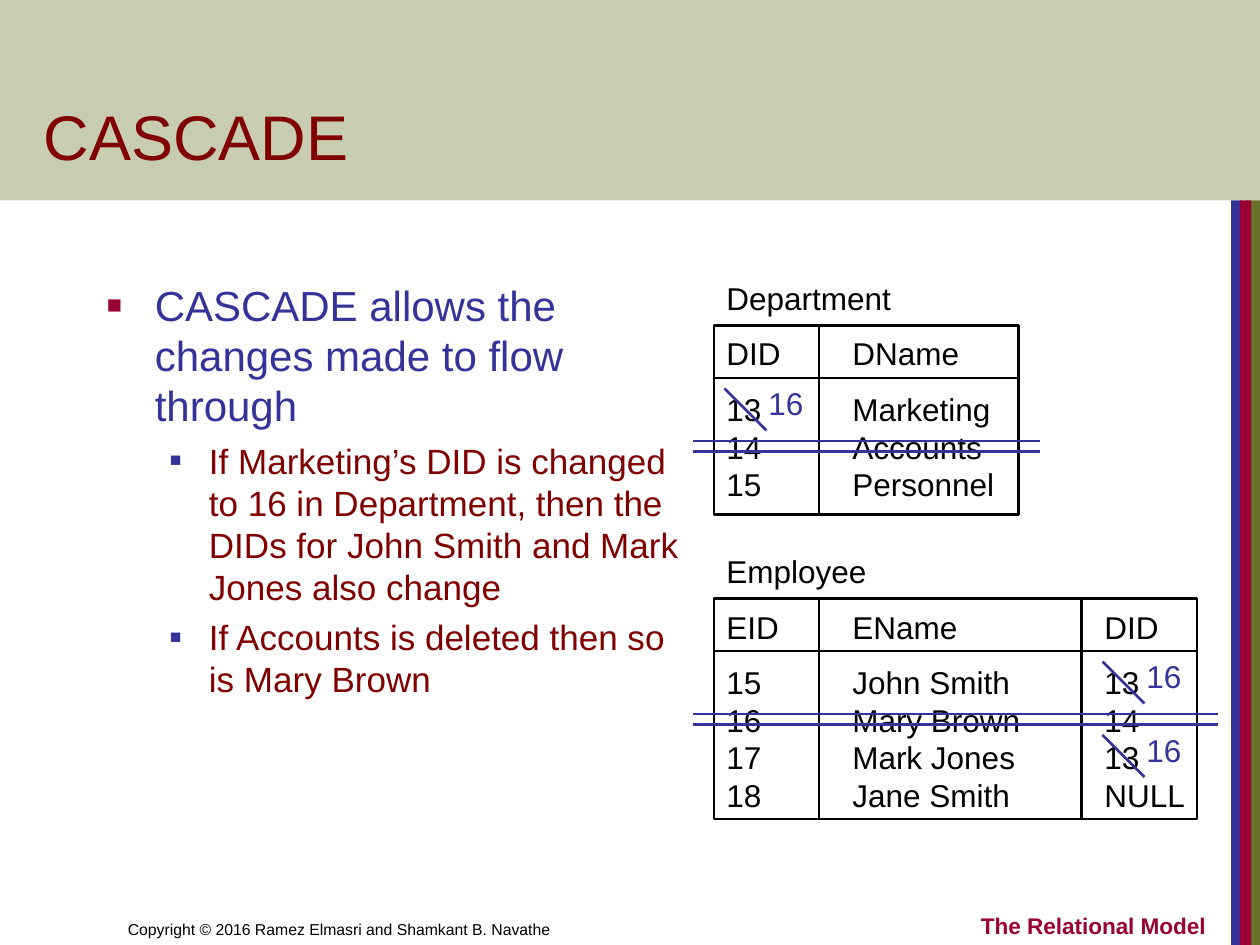
from lxml.etree import SubElement
from pptx import Presentation
from pptx.dml.color import RGBColor
from pptx.enum.shapes import MSO_CONNECTOR, MSO_SHAPE
from pptx.enum.text import MSO_ANCHOR, MSO_AUTO_SIZE, PP_ALIGN
from pptx.oxml.ns import qn
from pptx.util import Inches, Pt

BLACK = RGBColor(0x00, 0x00, 0x00)
NAVY = RGBColor(0x33, 0x33, 0x99)
CRIMSON = RGBColor(0x99, 0x00, 0x33)
MAROON = RGBColor(0x80, 0x00, 0x00)
OLIVE = RGBColor(0x67, 0x72, 0x28)

COLUMNS, ROWS = 120, 90
BAND_ROWS = 19.08


def assign(target, values):
    for name, value in values.items():
        setattr(target, name, value)


class RelationSlide:
    font_name = "Arial"
    rule_width = Pt(1.5)
    table_size = 18
    header_gap = Pt(10)

    def __init__(self, deck):
        self.column = deck.slide_width / COLUMNS
        self.row = deck.slide_height / ROWS
        self.slide = deck.slides.add_slide(deck.slide_layouts[6])
        self.shapes = self.slide.shapes

    def area(self, left, top, width, height):
        return (round(left * self.column), round(top * self.row),
                round(width * self.column), round(height * self.row))

    def block(self, area, fill=None, opacity=None):
        block = self.shapes.add_shape(MSO_SHAPE.RECTANGLE, *self.area(*area))
        block.shadow.inherit = False
        if fill is None:
            block.fill.background()
            block.line.color.rgb = BLACK
            block.line.width = self.rule_width
            return
        block.fill.solid()
        block.fill.fore_color.rgb = fill
        block.line.fill.background()
        if opacity:
            color = block._element.spPr.find(".//" + qn("a:srgbClr"))
            SubElement(color, qn("a:alpha"), val=str(opacity * 1000))

    def rule(self, start, end, color=BLACK):
        rule = self.shapes.add_connector(
            MSO_CONNECTOR.STRAIGHT, *self.area(*start, *end))
        rule.line.color.rgb = color
        rule.line.width = self.rule_width
        SubElement(rule._element.spPr, qn("a:effectLst"))

    def frame(self, area, **values):
        frame = self.shapes.add_textbox(*self.area(*area)).text_frame
        assign(frame, {"word_wrap": True, **values})
        return frame

    def paragraph(self, frame, text, size, color, bold=False, **values):
        paragraph = frame.paragraphs[0]
        if paragraph.runs:
            paragraph = frame.add_paragraph()
        run = paragraph.add_run()
        run.text = text
        assign(run.font, {"name": self.font_name, "size": Pt(size), "bold": bold})
        run.font.color.rgb = color
        assign(paragraph, values)
        return paragraph

    def bullet(self, frame, text, size, color, mark_color, share, indent, hang, **values):
        paragraph = self.paragraph(frame, text, size, color, **values)
        properties = paragraph._p.get_or_add_pPr()
        properties.set("marL", str(Inches(indent)))
        properties.set("indent", str(-Inches(hang)))
        mark = SubElement(properties, qn("a:buClr"))
        SubElement(mark, qn("a:srgbClr"), val=str(mark_color))
        SubElement(properties, qn("a:buSzPct"), val=str(share * 1000))
        SubElement(properties, qn("a:buFont"), typeface=self.font_name)
        SubElement(properties, qn("a:buChar"), char="■")

    def relation(self, name, heading, records, left, top, width, height, text_area, dividers):
        frame = self.frame((left, top, *text_area), auto_size=MSO_AUTO_SIZE.SHAPE_TO_FIT_TEXT)
        for index, line in enumerate([name, heading, *records]):
            values = {"space_before": self.header_gap} if index in (1, 2) else {}
            paragraph = self.paragraph(frame, line, self.table_size, BLACK, **values)
            stops = SubElement(paragraph._p.get_or_add_pPr(), qn("a:tabLst"))
            for inch in range(1, 8):
                SubElement(stops, qn("a:tab"), pos=str(Inches(inch)), algn="l")
        grid_top = top + 5
        self.block((left, grid_top, width, height))
        self.rule((left, grid_top + 5), (left + width, grid_top + 5))
        for divider in dividers:
            self.rule((divider, grid_top), (divider, grid_top + height))

    def correction(self, left, top, value):
        frame = self.frame((left, top, 5.76, 4.8), word_wrap=False,
                           auto_size=MSO_AUTO_SIZE.SHAPE_TO_FIT_TEXT)
        self.paragraph(frame, value, self.table_size, NAVY)
        self.rule((left - 3, top + 1), (left + 1, top + 5), NAVY)

    def strike(self, left, right, top):
        for level in (top, top + 1):
            self.rule((left, level), (right, level), NAVY)


def main():
    deck = Presentation()
    assign(deck, {"slide_width": Inches(10), "slide_height": Inches(7.5)})
    page = RelationSlide(deck)

    for left, width, color in ((118.68, 1.32, OLIVE), (117.24, 1.08, NAVY),
                               (118.08, 1.08, CRIMSON)):
        page.block((left, BAND_ROWS, width, ROWS - BAND_ROWS), color)
    page.block((0, 0, COLUMNS, BAND_ROWS), OLIVE, 36)

    bottom = {"vertical_anchor": MSO_ANCHOR.BOTTOM}
    copyright_line = page.frame((11, 84, 59, 6), **bottom)
    page.paragraph(copyright_line, "Copyright © 2016 Ramez Elmasri and Shamkant B. Navathe",
                   9, BLACK)
    chapter = page.frame((91, 84, 25, 6), **bottom)
    page.paragraph(chapter, "The Relational Model", 12.9, CRIMSON, True,
                   alignment=PP_ALIGN.RIGHT)
    title = page.frame((3, 4, 102.36, 13.08), **bottom)
    page.paragraph(title, "CASCADE", 36, MAROON)

    body = page.frame((9, 26, 56, 54), margin_right=0)
    page.bullet(body, "CASCADE allows the changes made to flow through",
                24, NAVY, CRIMSON, 60, 0.38, 0.38)
    for effect in (
        "If Marketing’s DID is changed to 16 in Department, then the DIDs for "
        "John Smith and Mark Jones also change",
        "If Accounts is deleted then so is Mary Brown",
    ):
        page.bullet(body, effect, 20, MAROON, NAVY, 55, 0.81, 0.31,
                    level=1, space_before=Pt(5))

    page.relation("Department", "DID\tDName",
                  ["13\tMarketing", "14\tAccounts", "15\tPersonnel"],
                  68, 26, 29, 18, (29, 22.44), [78])
    page.relation("Employee", "EID\tEName\t\tDID",
                  ["15\tJohn Smith\t13", "16\tMary Brown\t14",
                   "17\tMark Jones\t13", "18\tJane Smith\tNULL"],
                  68, 52, 46, 21, (48, 26), [78, 103])

    for left, top in ((72, 36), (108, 69), (108, 62)):
        page.correction(left, top, "16")
    page.strike(66, 99, 42)
    page.strike(66, 116, 68)

    deck.save("out.pptx")


if __name__ == "__main__":
    main()
